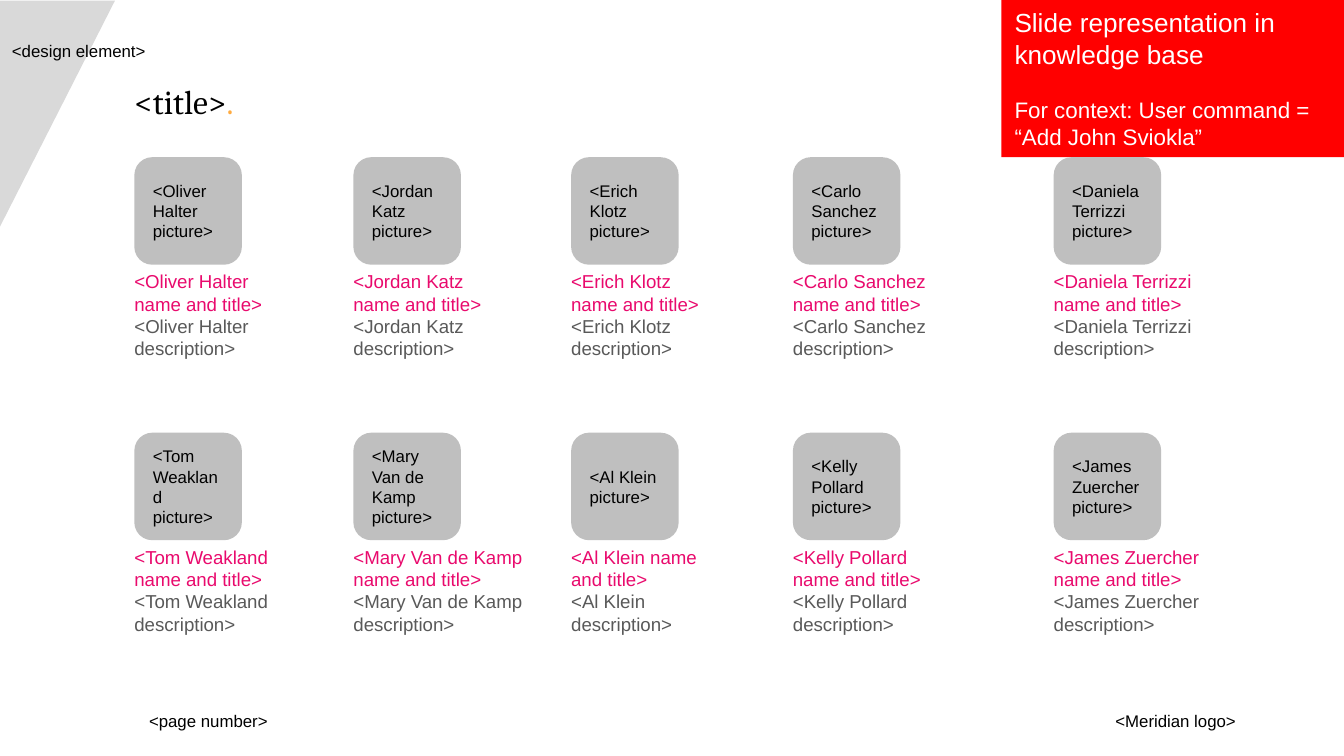
from pptx import Presentation
from pptx.dml.color import RGBColor
from pptx.enum.shapes import MSO_SHAPE
from pptx.enum.text import MSO_ANCHOR, PP_ALIGN
from pptx.util import Inches, Pt

BLACK = RGBColor(0x00, 0x00, 0x00)
WHITE = RGBColor(0xFF, 0xFF, 0xFF)
RED = RGBColor(0xFF, 0x00, 0x00)
PINK = RGBColor(0xE9, 0x0A, 0x6D)
ORANGE = RGBColor(0xFF, 0xAB, 0x40)
TEXT_GRAY = RGBColor(0x59, 0x59, 0x59)
CARD_GRAY = RGBColor(0xBF, 0xBF, 0xBF)
CORNER_GRAY = RGBColor(0xD9, 0xD9, 0xD9)

COLUMN_LEFTS = [1, 2.63, 4.25, 5.9, 7.84]
ROW_TOPS = [1.17, 3.22]
# Each person comes with the width of the name box.
TEAM_ROWS = [
    [("Oliver Halter", 1), ("Jordan Katz", 1), ("Erich Klotz", 1),
     ("Carlo Sanchez", 1), ("Daniela Terrizzi", 1.21)],
    [("Tom Weakland", 1.15), ("Mary Van de Kamp", 1.31), ("Al Klein", 1),
     ("Kelly Pollard", 1.16), ("James Zuercher", 1.21)],
]
LABELS = [
    ("<page number>", 1, 5.26),
    ("<Meridian logo>", 8.19, 5.26),
    ("<design element>", -0.02, 0.27),
]


def style_font(font, size, color, name="Arial"):
    font.name = name
    font.size = Pt(size)
    font.color.rgb = color


def add_shape(slide, kind, left, top, width, height, fill=None):
    shape = slide.shapes.add_shape(
        kind, Inches(left), Inches(top), Inches(width), Inches(height))
    shape.shadow.inherit = False
    shape.line.fill.background()
    if fill is None:
        shape.fill.background()
    else:
        shape.fill.solid()
        shape.fill.fore_color.rgb = fill
    return shape


def add_rounded_label(slide, text, left, top, width, height, fill=None):
    shape = add_shape(slide, MSO_SHAPE.ROUNDED_RECTANGLE, left, top, width, height, fill)
    frame = shape.text_frame
    frame.word_wrap = True
    frame.vertical_anchor = MSO_ANCHOR.MIDDLE
    paragraph = frame.paragraphs[0]
    paragraph.text = text
    paragraph.alignment = PP_ALIGN.LEFT
    style_font(paragraph.font, 9, BLACK)


def add_text_box(slide, left, top, width, height):
    """Add a wrapping text box without margins and return its paragraph."""
    box = slide.shapes.add_textbox(
        Inches(left), Inches(top), Inches(width), Inches(height))
    frame = box.text_frame
    frame.word_wrap = True
    frame.margin_left = frame.margin_right = 0
    frame.margin_top = frame.margin_bottom = 0
    return frame.paragraphs[0]


def add_title(slide):
    paragraph = add_text_box(slide, 1, 0.6, 8, 0.34)
    for text, color in [("<title>", BLACK), (".", ORANGE)]:
        run = paragraph.add_run()
        run.text = text
        style_font(run.font, 18, color, "Cambria")


def add_corner(slide):
    triangle = add_shape(
        slide, MSO_SHAPE.RIGHT_TRIANGLE, -0.42, 0.42, 1.69, 0.86, CORNER_GRAY)
    triangle.rotation = 90


def add_context_note(slide):
    note = add_shape(slide, MSO_SHAPE.RECTANGLE, 7.45, 0, 2.55, 1.17, RED)
    frame = note.text_frame
    frame.word_wrap = True
    frame.vertical_anchor = MSO_ANCHOR.TOP
    heading = frame.paragraphs[0]
    heading.text = "Slide representation in knowledge base"
    style_font(heading.font, 14, WHITE)
    context = frame.add_paragraph()
    context.text = "For context: User command = “Add John Sviokla”"
    context.space_before = Pt(14.5)
    style_font(context.font, 12, WHITE)
    for paragraph in frame.paragraphs:
        paragraph.alignment = PP_ALIGN.LEFT


def add_person(slide, person, name_width, left, top):
    captions = [
        ("name and title", 0.84, name_width, PINK),
        ("description", 1.17, 1.31, TEXT_GRAY),
    ]
    for caption, offset, width, color in captions:
        paragraph = add_text_box(slide, left, top + offset, width, 0.21)
        paragraph.text = f"<{person} {caption}>"
        style_font(paragraph.font, 10, color)
    add_rounded_label(slide, f"<{person} picture>", left, top, 0.8, 0.8, CARD_GRAY)


def main():
    presentation = Presentation()
    presentation.slide_width = Inches(10)
    presentation.slide_height = Inches(10 * 9 / 16)
    slide = presentation.slides.add_slide(presentation.slide_layouts[6])

    add_title(slide)
    add_corner(slide)
    add_context_note(slide)
    for top, team in zip(ROW_TOPS, TEAM_ROWS):
        for left, (person, name_width) in zip(COLUMN_LEFTS, team):
            add_person(slide, person, name_width, left, top)
    for text, left, top in LABELS:
        add_rounded_label(slide, text, left, top, 1.42, 0.21)

    presentation.save("out.pptx")


if __name__ == "__main__":
    main()
